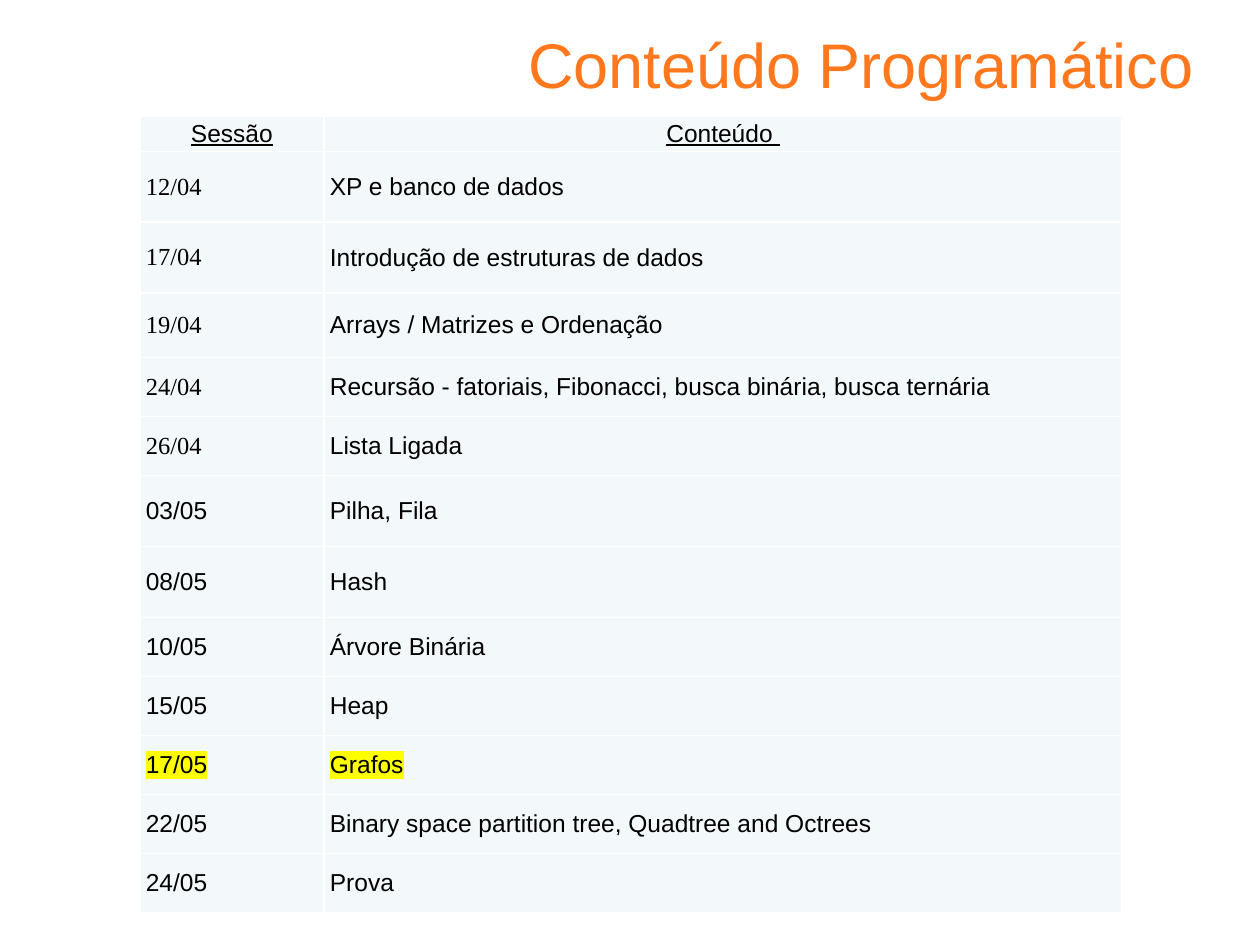
from lxml import etree
from pptx import Presentation
from pptx.dml.color import RGBColor
from pptx.enum import text
from pptx.oxml import parse_xml
from pptx.util import Cm, Pt

NS = "http://schemas.openxmlformats.org/drawingml/2006/main"
AL = text.PP_ALIGN


def rgb(value):
    return RGBColor.from_string(value)


def write(tf, words, size=14, font="Arial", color="000000", align=AL.JUSTIFY,
          underline=False, highlight=None):
    p = tf.paragraphs[0]
    p.alignment = align
    r = p.add_run()
    r.text = words
    r.font.size = Pt(size)
    r.font.color.rgb = rgb(color)
    r.font.name = font
    r.font.underline = underline
    if highlight:
        mark = etree.Element(f"{{{NS}}}highlight")
        etree.SubElement(mark, f"{{{NS}}}srgbClr", val=highlight)
        r.font._element.find(f"{{{NS}}}latin").addprevious(mark)


prs = Presentation()
prs.slide_width, prs.slide_height = Cm(25.4), Cm(19.05)
s = prs.slides.add_slide(prs.slide_layouts[6])

# Title
tf = s.shapes.add_textbox(Cm(6.1), Cm(0.36), Cm(18.21), Cm(1.78)).text_frame
tf.word_wrap = True
tf.vertical_anchor = text.MSO_ANCHOR.BOTTOM
tf.margin_bottom = Cm(0.1)
write(tf, "Conteúdo Programático", size=36, color="FF781D", align=AL.RIGHT)

# Schedule: date, topic, row height in cm
schedule = [
    ("Sessão", "Conteúdo ", 0.71),
    ("12/04", "XP e banco de dados", 1.43),
    ("17/04", "Introdução de estruturas de dados", 1.43),
    ("19/04", "Arrays / Matrizes e Ordenação", 1.3),
    ("24/04", "Recursão - fatoriais, Fibonacci, busca binária, busca ternária", 1.19),
    ("26/04", "Lista Ligada", 1.19),
    ("03/05", "Pilha, Fila", 1.43),
    ("08/05", "Hash", 1.43),
    ("10/05", "Árvore Binária", 1.19),
    ("15/05", "Heap", 1.19),
    ("17/05", "Grafos", 1.19),
    ("22/05", "Binary space partition tree, Quadtree and Octrees", 1.19),
    ("24/05", "Prova", 1.19),
]
current = "17/05"
last_serif_row = 5

# Table
height = sum(row[2] for row in schedule)
table = s.shapes.add_table(len(schedule), 2, Cm(2.82), Cm(2.34),
                           Cm(19.8), Cm(height)).table
table.columns[0].width, table.columns[1].width = Cm(3.71), Cm(16.09)

for i, (date, topic, row_height) in enumerate(schedule):
    table.rows[i].height = Cm(row_height)
    for j, words in enumerate((date, topic)):
        cell = table.cell(i, j)
        cell.vertical_anchor = text.MSO_ANCHOR.MIDDLE
        cell.margin_left = cell.margin_right = Cm(0.12)
        cell.margin_top = cell.margin_bottom = 0
        cell.fill.solid()
        cell.fill.fore_color.rgb = rgb("F3F9FA")
        # White borders go before the fill
        tc_pr = cell._tc.get_or_add_tcPr()
        for k, side in enumerate("LRTB"):
            tc_pr.insert(k, parse_xml(
                f'<a:ln{side} xmlns:a="{NS}" w="12700"><a:solidFill>'
                f'<a:srgbClr val="FFFFFF"/></a:solidFill></a:ln{side}>'))
        serif = j == 0 and 0 < i <= last_serif_row
        write(cell.text_frame, words,
              font="Times New Roman" if serif else "Arial",
              align=AL.JUSTIFY if i else AL.CENTER,
              underline=i == 0,
              highlight="FFFF00" if date == current else None)

prs.save("out.pptx")
